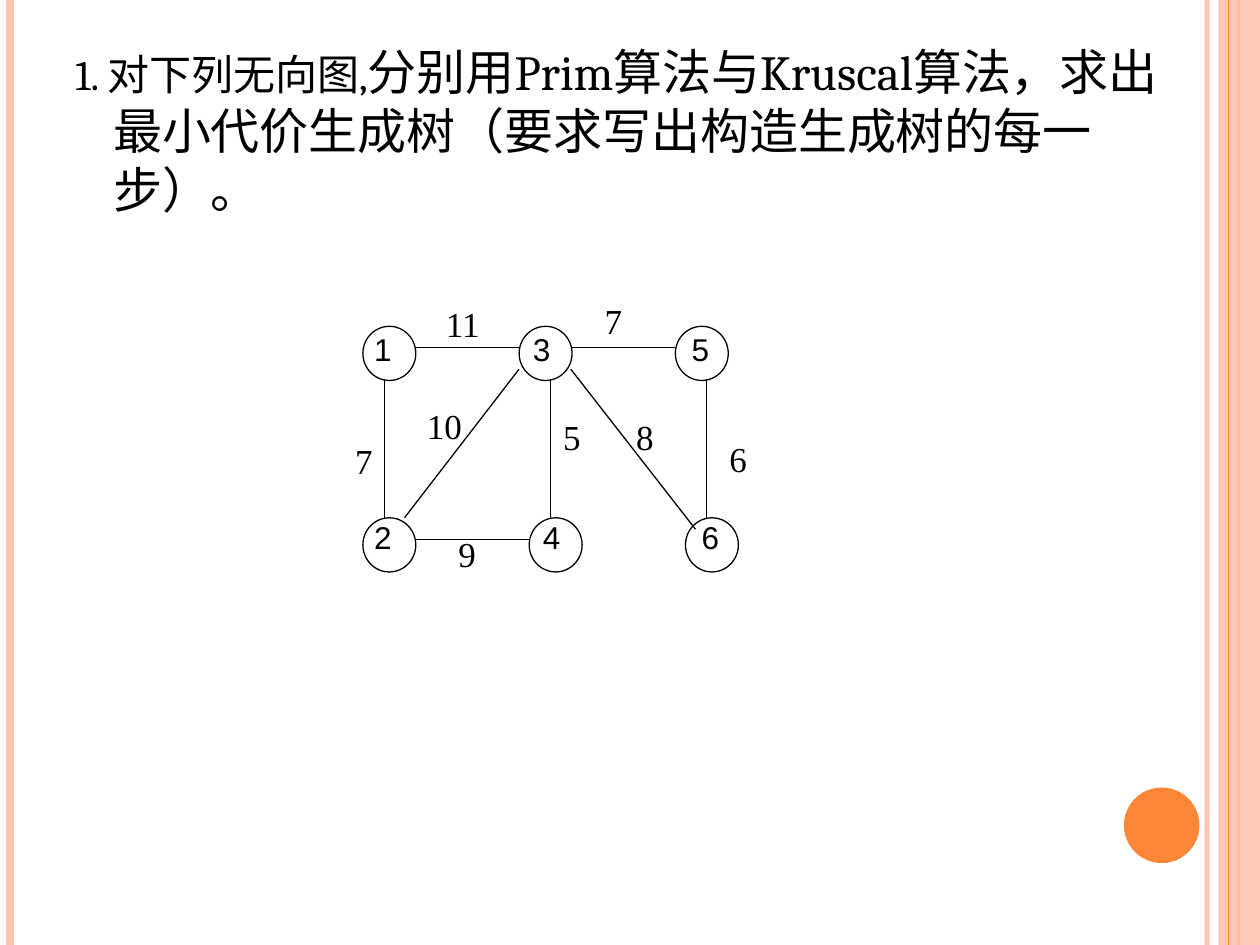
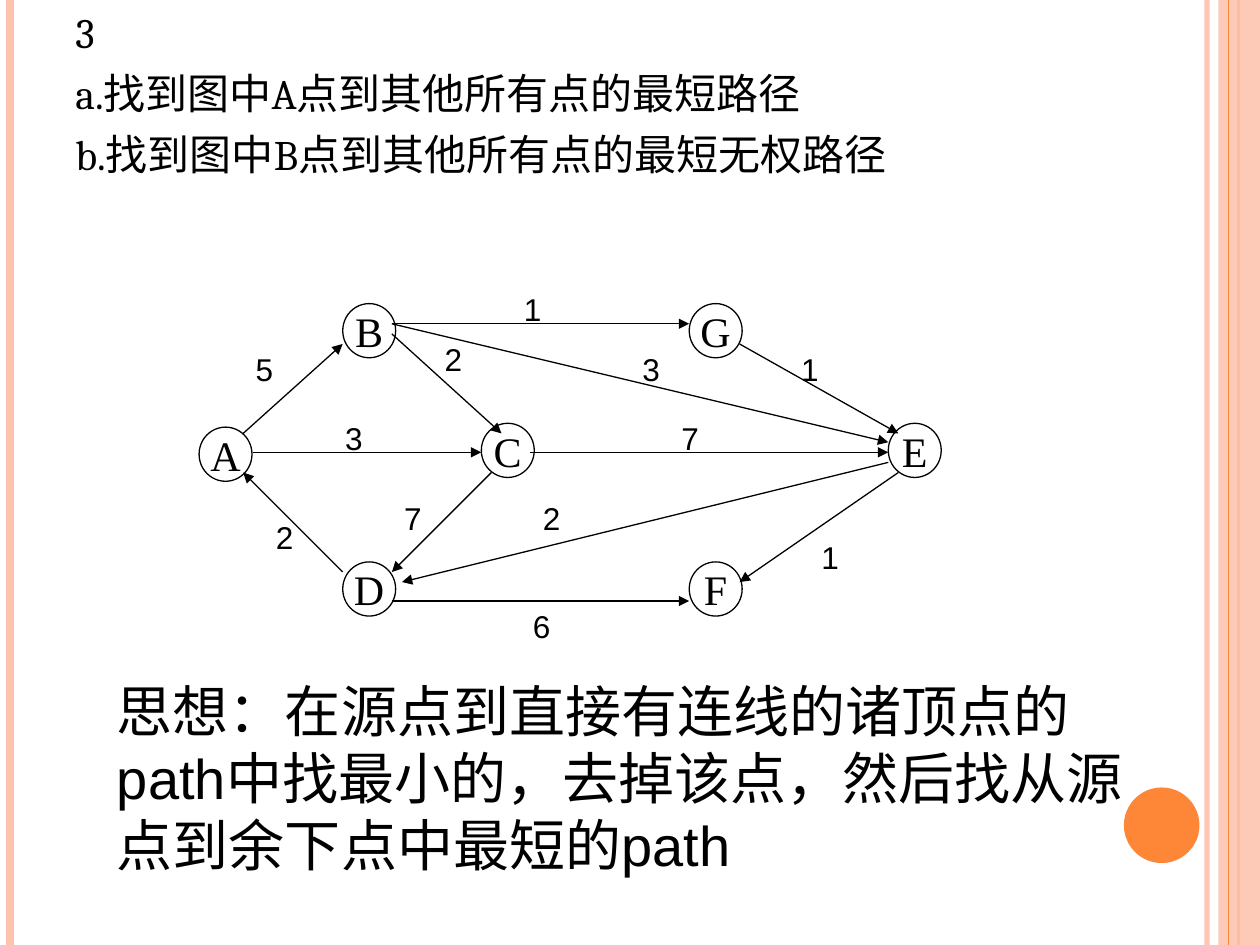
from dataclasses import dataclass

from lxml import etree
from pptx import Presentation
from pptx.dml.color import RGBColor
from pptx.enum.shapes import MSO_CONNECTOR, MSO_SHAPE
from pptx.enum.text import MSO_ANCHOR, PP_ALIGN
from pptx.oxml.ns import qn
from pptx.util import Inches, Pt

STRAIGHT = MSO_CONNECTOR.STRAIGHT
RECTANGLE, OVAL = MSO_SHAPE.RECTANGLE, MSO_SHAPE.OVAL
MIDDLE, CENTER = MSO_ANCHOR.MIDDLE, PP_ALIGN.CENTER

BLACK, WHITE, PEACH, ORANGE = "000000", "FFFFFF", "FEC3AE", "FE8637"
SERIF, SANS, HEADING = "Times New Roman", "Arial", "Cambria"
WIDTH, HEIGHT = 10, 7.5
THIN = 0.75


@dataclass(frozen=True)
class Rule:
    x: float
    color: str
    weight: float
    opacity: int = 100


@dataclass(frozen=True)
class Label:
    text: str
    left: float
    top: float
    width: float = 0.41


@dataclass(frozen=True)
class Node:
    left: float
    top: float
    name: str = ""


@dataclass(frozen=True)
class Edge:
    start: tuple[float, float]
    end: tuple[float, float]
    weight: Label


@dataclass(frozen=True)
class Span:
    text: str
    size: int


RULES_BEHIND_BAND = [
    Rule(9.58, PEACH, 3, 93),
    Rule(0.08, PEACH, 4.5),
    Rule(9.83, ORANGE, 1.5),
]
RULE_ON_BAND = Rule(9.75, ORANGE, THIN)

TREE_TOP, TREE_BOTTOM = 2.59, 4.11
TREE_NODES = [Node(x, TREE_TOP) for x in (2.88, 4.12, 5.36)] + [
    Node(x, TREE_BOTTOM) for x in (2.88, 4.2, 5.44)
]
TREE_NUMBERS = [
    Label("1", 2.87, 2.57),
    Label("3", 4.13, 2.57),
    Label("5", 5.39, 2.57),
    Label("2", 2.87, 4.06),
    Label("4", 4.21, 4.06),
    Label("6", 5.47, 4.06),
]
TREE_EDGES = [
    Edge((3.29, 2.76), (4.12, 2.76), Label("11", 3.44, 2.35, 0.58)),
    Edge((4.53, 2.76), (5.36, 2.76), Label("7", 4.7, 2.33)),
    Edge((3.29, 4.28), (4.2, 4.28), Label("9", 3.54, 4.18)),
    Edge((3.05, 3.01), (3.05, 4.11), Label("7", 2.72, 3.44)),
    Edge((4.37, 3.01), (4.37, 4.11), Label("5", 4.37, 3.25)),
    Edge((5.61, 3.01), (5.61, 4.11), Label("6", 5.69, 3.42)),
    Edge((4.12, 2.93), (3.21, 4.11), Label("10", 3.29, 3.16, 0.58)),
    Edge((4.53, 2.93), (5.52, 4.2), Label("8", 4.95, 3.25)),
]

PATH_TOP, PATH_BOTTOM = 2.41, 4.46
PATH_NODES = [
    Node(1.58, 3.39, "A"),
    Node(2.72, PATH_TOP, "B"),
    Node(2.72, PATH_BOTTOM, "D"),
    Node(5.47, PATH_TOP, "G"),
    Node(5.47, PATH_BOTTOM, "F"),
    Node(3.82, 3.36, "C"),
    Node(7.05, 3.36, "E"),
]
PATH_EDGES = [
    Edge((1.93, 3.44), (2.72, 2.73), Label("5", 1.93, 2.73)),
    Edge((2.72, 4.54), (1.93, 3.75), Label("2", 2.09, 4.06)),
    Edge((2.01, 3.59), (3.82, 3.59), Label("3", 2.64, 3.28)),
    Edge((3.11, 2.65), (3.98, 3.44), Label("2", 3.43, 2.65)),
    Edge((3.9, 3.75), (3.11, 4.54), Label("7", 3.11, 3.91)),
    Edge((4.21, 3.59), (7.05, 3.59), Label("7", 5.31, 3.28)),
    Edge((3.11, 2.57), (5.47, 2.57), Label("1", 4.06, 2.25)),
    Edge((5.87, 2.73), (7.13, 3.44), Label("1", 6.26, 2.73)),
    Edge((3.11, 2.57), (7.05, 3.51), Label("3", 5, 2.73)),
    Edge((3.11, 4.77), (5.47, 4.77), Label("6", 4.13, 4.77)),
    Edge((7.05, 3.67), (3.19, 4.62), Label("2", 4.21, 3.91)),
    Edge((7.13, 3.75), (5.87, 4.62), Label("1", 6.42, 4.22)),
]


def rgb(color: str) -> RGBColor:
    return RGBColor.from_string(color)


def set_opacity(properties, percent: int) -> None:
    """Make the first solid colour under an spPr element see-through."""
    color = next(properties.iter(qn("a:srgbClr")))
    etree.SubElement(color, qn("a:alpha"), val=str(percent * 1000))


def style_font(font, name: str, size: float) -> None:
    font.name, font.size = name, Pt(size)
    font.color.rgb = rgb(BLACK)


def add_line(page, start, end, color=BLACK, weight=THIN, arrow=False, opacity=100):
    line = page.shapes.add_connector(STRAIGHT, *map(Inches, (*start, *end)))
    line.line.color.rgb = rgb(color)
    line.line.width = Pt(weight)
    properties = line._element.spPr
    if arrow:
        etree.SubElement(line.line._get_or_add_ln(), qn("a:tailEnd"), type="triangle")
    if opacity < 100:
        set_opacity(properties, opacity)
    etree.SubElement(properties, qn("a:effectLst"))


def add_shape(page, kind, left, top, width, height, fill=None):
    """Add a shape that is either filled without a line, or outlined in black."""
    shape = page.shapes.add_shape(kind, *map(Inches, (left, top, width, height)))
    shape.shadow.inherit = False
    if fill:
        shape.fill.solid()
        shape.fill.fore_color.rgb = rgb(fill)
        shape.line.fill.background()
    else:
        shape.fill.background()
        shape.line.color.rgb = rgb(BLACK)
        shape.line.width = Pt(THIN)
    return shape


def add_text_box(page, left, top, width, height):
    box = page.shapes.add_textbox(*map(Inches, (left, top, width, height)))
    box.text_frame.word_wrap = True
    return box.text_frame


def add_text(page, label: Label, font: str, size: int, height: float) -> None:
    para = add_text_box(page, label.left, label.top, label.width, height).paragraphs[0]
    para.text = label.text
    style_font(para.font, font, size)


def add_question(page, top: float, height: float, lines: list[list[Span]]) -> None:
    """Write the question, one hanging paragraph for each line."""
    frame = add_text_box(page, 0.5, top, 9, height)
    for index, spans in enumerate(lines):
        para = frame.add_paragraph() if index else frame.paragraphs[0]
        if index:
            para.space_before = Pt(6)
        properties = para._p.get_or_add_pPr()
        properties.set("marL", str(Inches(0.3)))
        properties.set("indent", str(Inches(-0.3)))
        for span in spans:
            run = para.add_run()
            run.text = span.text
            style_font(run.font, HEADING, span.size)


def add_node(page, node: Node) -> None:
    circle = add_shape(page, OVAL, node.left, node.top, 0.42, 0.43)
    if node.name:
        frame = circle.text_frame
        frame.word_wrap = False
        frame.vertical_anchor = MIDDLE
        para = frame.paragraphs[0]
        para.text = node.name
        para.alignment = CENTER
        style_font(para.font, SERIF, 24)


def add_graph(page, nodes, edges, font: str, size: int, directed: bool) -> None:
    for node in nodes:
        add_node(page, node)
    for edge in edges:
        add_line(page, edge.start, edge.end, arrow=directed)
        add_text(page, edge.weight, font, size, 0.4)


def add_rule(page, rule: Rule) -> None:
    ends = (rule.x, 0), (rule.x, HEIGHT)
    add_line(page, *ends, rule.color, rule.weight, opacity=rule.opacity)


def add_page(deck):
    """Add a blank page with the side rules, the band and the dot."""
    page = deck.slides.add_slide(deck.slide_layouts[6])
    page.background.fill.solid()
    page.background.fill.fore_color.rgb = rgb(WHITE)
    for rule in RULES_BEHIND_BAND:
        add_rule(page, rule)
    band = add_shape(page, RECTANGLE, 9.67, 0, 0.33, HEIGHT, PEACH)
    set_opacity(band._element.spPr, 87)
    add_rule(page, RULE_ON_BAND)
    add_shape(page, OVAL, 8.92, 6.25, 0.6, 0.6, ORANGE)
    return page


def build_spanning_tree(deck) -> None:
    page = add_page(deck)
    task = "分别用Prim算法与Kruscal算法，求出最小代价生成树（要求写出构造生成树的每一步）。"
    add_question(page, 0.28, 6.41, [[Span("1. 对下列无向图,", 24), Span(task, 28)]])
    add_graph(page, TREE_NODES, TREE_EDGES, SERIF, 20, directed=False)
    for number in TREE_NUMBERS:
        add_text(page, number, SANS, 18, 0.4)


def build_shortest_path(deck) -> None:
    page = add_page(deck)
    lines = [
        "3",
        "a.找到图中A点到其他所有点的最短路径",
        "b.找到图中B点到其他所有点的最短无权路径",
    ]
    add_question(page, 0, 2.02, [[Span(line, 24)] for line in lines])
    add_graph(page, PATH_NODES, PATH_EDGES, SANS, 18, directed=True)
    idea = (
        "思想：在源点到直接有连线的诸顶点的 path中找最小的，"
        "去掉该点，然后找从源点到余下点中最短的path"
    )
    add_text(page, Label(idea, 0.83, 5.32, 8.35), SANS, 32, 1.7)


def main() -> None:
    deck = Presentation()
    deck.slide_width, deck.slide_height = Inches(WIDTH), Inches(HEIGHT)
    build_spanning_tree(deck)
    build_shortest_path(deck)
    deck.save("out.pptx")


if __name__ == "__main__":
    main()
